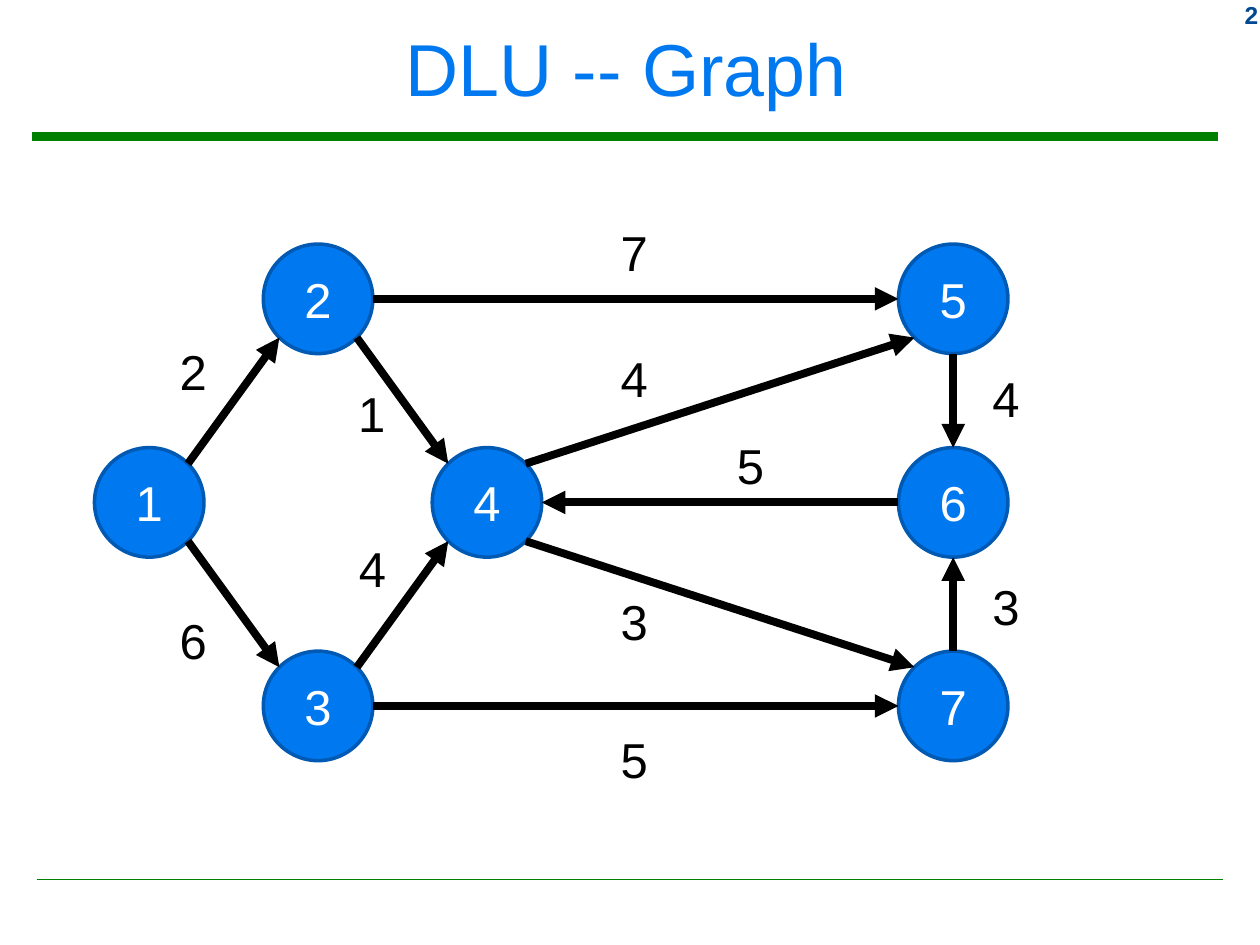
from math import hypot

from lxml.etree import SubElement
from pptx import Presentation
from pptx.dml.color import RGBColor
from pptx.enum.shapes import MSO_CONNECTOR, MSO_SHAPE
from pptx.enum.text import MSO_ANCHOR, PP_ALIGN
from pptx.oxml.ns import qn
from pptx.util import Pt

COLORS = {
    "blue": "0078F0",
    "outline": "0059B2",
    "navy": "004992",
    "green": "008000",
    "black": "000000",
    "white": "FFFFFF",
}
FONT = "Arial"
DIAMETER = 62.6
LABEL_WIDTH, LABEL_HEIGHT = 44, 42

COLUMNS = (31.3, 127.8, 224.3, 490.7)
ROWS = (31.3, 147.6, 263.9)
NODES = {
    "1": (0, 1),
    "4": (2, 1),
    "6": (3, 1),
    "3": (1, 2),
    "2": (1, 0),
    "7": (3, 2),
    "5": (3, 0),
}

EDGES = [
    ("1", "2", "2", (56.5, 72.2)),
    ("2", "5", "7", (308.5, 4.5)),
    ("3", "7", "5", (308.5, 294)),
    ("6", "4", "5", (374.8, 126.2)),
    ("3", "4", "4", (158.8, 185.2)),
    ("1", "3", "6", (56.5, 226.3)),
    ("2", "4", "1", (158.5, 96.7)),
    ("7", "6", "3", (520.9, 206.8)),
    ("5", "6", "4", (520.9, 88)),
    ("4", "5", "4", (308.5, 76.5)),
    ("4", "7", "3", (308.5, 215.5)),
]


def color(name):
    """Return the named colour."""
    return RGBColor.from_string(COLORS[name])


def set_text(shape, text, size, color_name, align=PP_ALIGN.CENTER,
             anchor=MSO_ANCHOR.MIDDLE, bold=False):
    """Write one styled paragraph into a shape."""
    frame = shape.text_frame
    frame.word_wrap = True
    frame.vertical_anchor = anchor
    frame.text = text
    para = frame.paragraphs[0]
    para.alignment = align
    font = para.runs[0].font
    font.name, font.size, font.bold = FONT, Pt(size), bold
    font.color.rgb = color(color_name)


def add_text(page, box, text, size, color_name, **style):
    """Add a text box at left, top, width, height."""
    shape = page.shapes.add_textbox(*map(Pt, box))
    set_text(shape, text, size, color_name, **style)


def add_line(page, start, end, width, color_name, arrow=False):
    """Draw a straight line, with an arrowhead at its end if asked."""
    line = page.shapes.add_connector(
        MSO_CONNECTOR.STRAIGHT, *map(Pt, (*start, *end)))
    line.line.width = Pt(width)
    line.line.color.rgb = color(color_name)
    if arrow:
        SubElement(line.line._get_or_add_ln(), qn("a:tailEnd"), type="triangle")
    SubElement(line._element.spPr, qn("a:effectLst"))


def add_frame(page, width):
    """Add the rules, the slide number and the title."""
    add_line(page, (18, 78), (696, 78), 5.25, "green")
    add_line(page, (21, 502.5), (699, 502.5), 1, "green")
    add_text(page, (width - 59.5, -3.6, 65.5, 24), "2", 14, "navy",
             align=PP_ALIGN.RIGHT, anchor=MSO_ANCHOR.TOP, bold=True)
    add_text(page, (5, 0, 705.6, 76.5), "DLU -- Graph", 42, "blue")


def add_node(page, center, name):
    """Draw a numbered circle around its centre."""
    x, y = center
    radius = DIAMETER / 2
    node = page.shapes.add_shape(
        MSO_SHAPE.OVAL, Pt(x - radius), Pt(y - radius), Pt(DIAMETER), Pt(DIAMETER))
    node.shadow.inherit = False
    node.fill.solid()
    node.fill.fore_color.rgb = color("blue")
    node.line.color.rgb = color("outline")
    node.line.width = Pt(2)
    set_text(node, name, 28, "white")


def rim_point(center, other):
    """Find the compass point of a circle that faces another circle."""
    steps = [(b > a) - (b < a) for a, b in zip(center, other)]
    scale = DIAMETER / 2 / hypot(*steps)
    return [a + step * scale for a, step in zip(center, steps)]


def add_graph(page, left, top):
    """Draw the weighted directed graph from its top left corner."""
    centers = {name: (left + COLUMNS[column], top + ROWS[row])
               for name, (column, row) in NODES.items()}
    for name, center in centers.items():
        add_node(page, center, name)
    for source, target, weight, (x, y) in EDGES:
        start, end = centers[source], centers[target]
        add_line(page, rim_point(start, end), rim_point(end, start),
                 4.5, "black", arrow=True)
        box = (left + x - LABEL_WIDTH / 2, top + y - LABEL_HEIGHT / 2,
               LABEL_WIDTH, LABEL_HEIGHT)
        add_text(page, box, weight, 28, "black")


def main():
    """Build the deck and save it."""
    deck = Presentation()
    deck.slide_width, deck.slide_height = Pt(720), Pt(540)
    page = deck.slides.add_slide(deck.slide_layouts[6])
    add_frame(page, 720)
    add_graph(page, 54, 139.5)
    deck.save("out.pptx")


if __name__ == "__main__":
    main()
